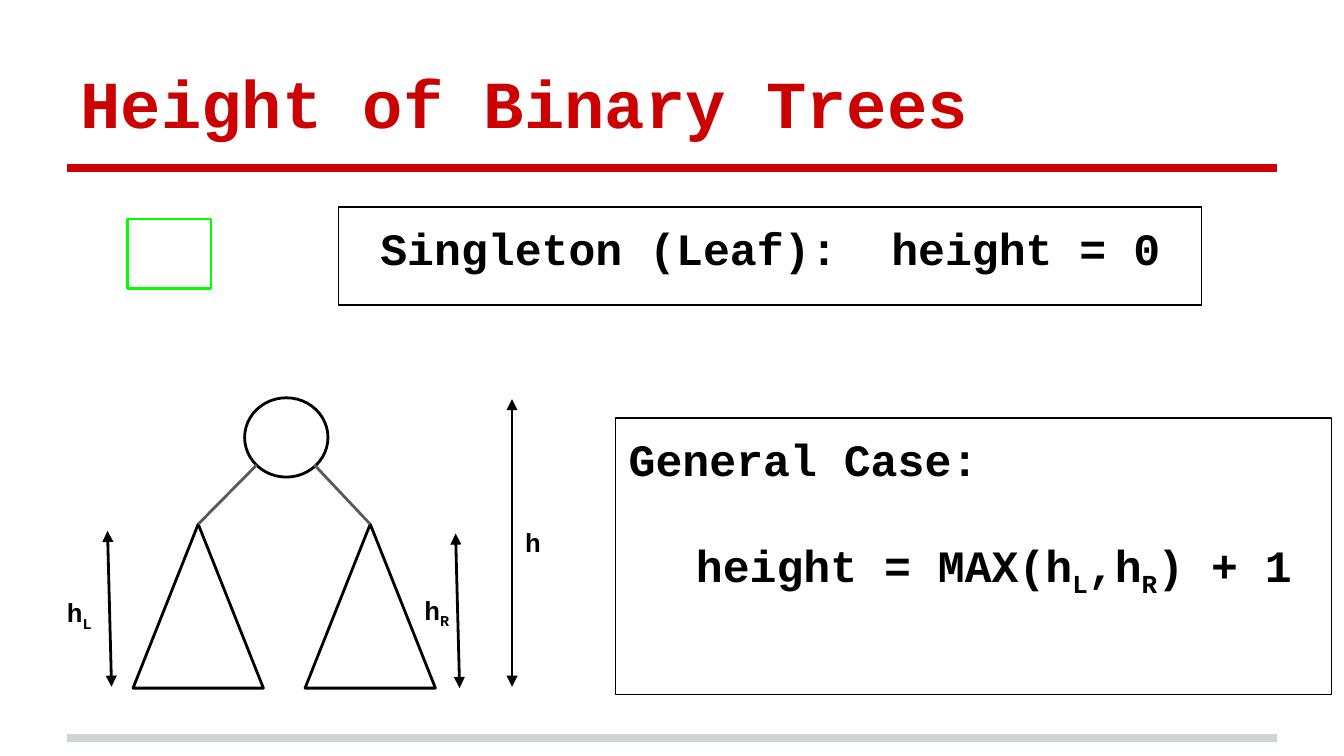
import pptx
import pptx.util
import pptx.dml.color
import pptx.enum.shapes
import pptx.enum.text
import pptx.oxml.ns

Inches, Pt = pptx.util.Inches, pptx.util.Pt
qn = pptx.oxml.ns.qn
SHAPE = pptx.enum.shapes.MSO_SHAPE
ALIGN, ANCHOR = pptx.enum.text.PP_ALIGN, pptx.enum.text.MSO_ANCHOR
C = {"red": "CC0202", "rule": "CFD4D4", "green": "00FF00", "black": "000000", "edge": "5B595A"}
rgb = {name: pptx.dml.color.RGBColor.from_string(value) for name, value in C.items()}


def add_line(x1, y1, x2, y2, color, width, arrows=False):
    ln = s.shapes.add_connector(pptx.enum.shapes.MSO_CONNECTOR.STRAIGHT,
                                Inches(x1), Inches(y1), Inches(x2), Inches(y2))
    ln.line.color.rgb = rgb[color]
    ln.line.width = Pt(width)
    spPr = ln._element.spPr
    spPr.append(spPr.makeelement(qn("a:effectLst"), {}))
    if arrows:
        for end in ("a:headEnd", "a:tailEnd"):
            spPr.find(qn("a:ln")).append(spPr.makeelement(qn(end), {"type": "triangle"}))
    return ln


def write(sp, paragraphs, size, color="black", align=ALIGN.LEFT, anchor=ANCHOR.TOP):
    """Fill a shape with paragraphs; each is a list of pieces, every second one a subscript."""
    tf = sp.text_frame
    tf.word_wrap = True
    tf.auto_size = pptx.enum.text.MSO_AUTO_SIZE.NONE
    tf.vertical_anchor = anchor
    tf.margin_left = tf.margin_right = tf.margin_top = tf.margin_bottom = Inches(0.1)
    for i, pieces in enumerate(paragraphs):
        p = tf.add_paragraph() if i else tf.paragraphs[0]
        p.alignment = align
        for j, piece in enumerate(pieces):
            r = p.add_run()
            r.text = piece
            r.font.name, r.font.size, r.font.bold = "Courier New", Pt(size), True
            r.font.color.rgb = rgb[color]
            if j % 2:
                r.font._element.set("baseline", "-25000")


prs = pptx.Presentation()
prs.slide_width = Inches(10)
prs.slide_height = prs.slide_width * 9 // 16
s = prs.slides.add_slide(prs.slide_layouts[5])

# Title and rules
add_line(0.5, 5.49, 9.5, 5.49, "rule", 4)
add_line(0.5, 1.25, 9.5, 1.25, "red", 4)
title = s.shapes.title
title.left, title.top, title.width, title.height = map(Inches, (0.5, 0.23, 9, 0.93))
write(title, [["Height of Binary Trees"]], 36, "red", anchor=ANCHOR.BOTTOM)

# Outlined shapes
outlines = {
    "leaf": (SHAPE.RECTANGLE, 0.95, 1.63, 0.62, 0.52, "green", 1.5),
    "leaf case": (SHAPE.RECTANGLE, 2.52, 1.54, 6.42, 0.73, "black", 0.75),
    "root": (SHAPE.OVAL, 1.82, 2.96, 0.62, 0.59, "black", 1.5),
    "left subtree": (SHAPE.ISOSCELES_TRIANGLE, 0.99, 3.9, 0.97, 1.22, "black", 1.5),
    "right subtree": (SHAPE.ISOSCELES_TRIANGLE, 2.27, 3.9, 0.97, 1.22, "black", 1.5),
    "general case": (SHAPE.RECTANGLE, 4.58, 3.11, 5.33, 2.06, "black", 0.75),
}
shapes = {}
for name, (kind, x, y, w, h, color, width) in outlines.items():
    sp = s.shapes.add_shape(kind, Inches(x), Inches(y), Inches(w), Inches(h))
    sp.shadow.inherit = False
    sp.fill.background()
    sp.line.color.rgb = rgb[color]
    sp.line.width = Pt(width)
    shapes[name] = sp

write(shapes["leaf case"], [["Singleton (Leaf):  height = 0"]], 24, align=ALIGN.CENTER)
write(shapes["general case"],
      [["General Case:"], ["height = MAX(h", "L", ",h", "R", ") + 1"]], 24)
formula = shapes["general case"].text_frame.paragraphs[1]
formula.space_before = Pt(28)
formula._p.get_or_add_pPr().set("marL", str(Inches(0.5)))

# Edges from the root to each subtree
for x, subtree in ((1.91, "left subtree"), (2.34, "right subtree")):
    edge = add_line(x, 3.46, x, 3.9, "edge", 1.5)
    edge.end_connect(shapes[subtree], 0)

# Height arrows with their labels
heights = [
    ((0.8, 3.95, 0.83, 5.11), (0.4, 4.34), ["h", "L"]),
    ((3.39, 3.97, 3.42, 5.12), (3.06, 4.32), ["h", "R"]),
    ((3.81, 2.97, 3.81, 5.11), (3.81, 3.82), ["h"]),
]
for ends, (x, y), label in heights:
    add_line(*ends, "black", 1.5, arrows=True)
    tb = s.shapes.add_textbox(Inches(x), Inches(y), Inches(0.44), Inches(0.31))
    write(tb, [label], 14)

prs.save("out.pptx")
